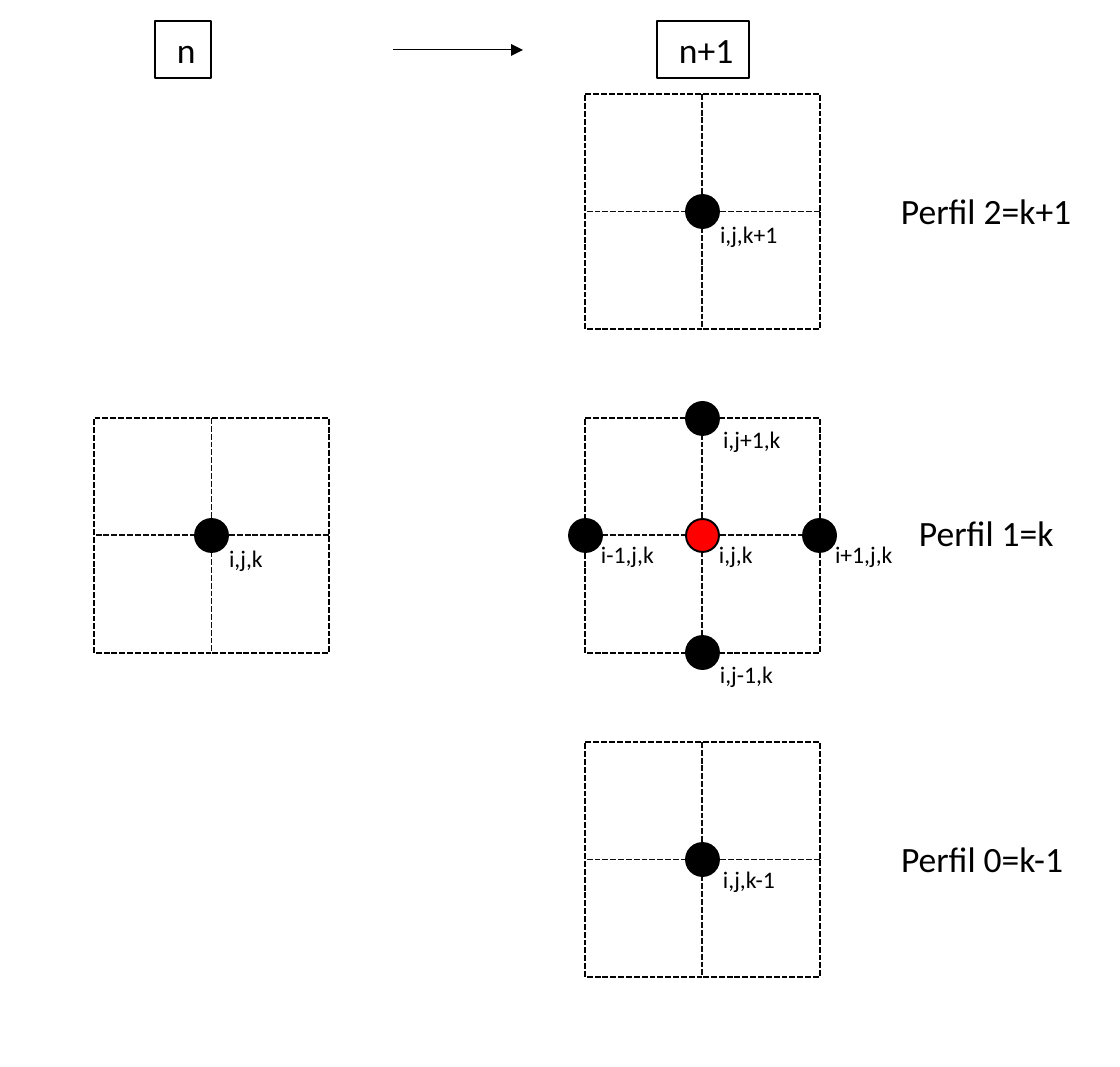
"""Finite-difference stencil: grid nodes at time steps n and n+1 on three profiles."""
from lxml import etree
from pptx import Presentation
from pptx.dml.color import RGBColor
from pptx.enum.dml import MSO_LINE
from pptx.enum.shapes import MSO_CONNECTOR, MSO_SHAPE
from pptx.enum.text import MSO_AUTO_SIZE, PP_ALIGN
from pptx.oxml.ns import qn
from pptx.util import Pt

PX = 6426
COLORS = {"black": "000000", "axis": "0D0D0D", "red": "FF0000"}
RGB = {name: RGBColor.from_string(code) for name, code in COLORS.items()}
GRID, HALF, DOT = 235, 117, 33
COLS = {"n": 94, "n+1": 585}
ROWS = {"k+1": 94, "k": 418, "k-1": 742}

prs = Presentation()
prs.slide_width, prs.slide_height = 1120 * PX, 1067 * PX
s = prs.slides.add_slide(prs.slide_layouts[6])


def add_line(x1, y1, x2, y2, color, width):
    ln = s.shapes.add_connector(MSO_CONNECTOR.STRAIGHT, x1 * PX, y1 * PX, x2 * PX, y2 * PX)
    ln.line.color.rgb = RGB[color]
    ln.line.width = Pt(width)
    etree.SubElement(ln._element.spPr, qn("a:effectLst"))
    return ln


def add_label(text, x, y, w, h, size, indent=0):
    sp = s.shapes.add_textbox(x * PX, y * PX, w * PX, h * PX)
    tf = sp.text_frame
    tf.word_wrap = False
    tf.auto_size = MSO_AUTO_SIZE.SHAPE_TO_FIT_TEXT
    tf.margin_left = (14 + indent) * PX
    p = tf.paragraphs[0]
    p.text = text
    p.alignment = PP_ALIGN.LEFT
    p.font.name = "Calibri"
    p.font.size = Pt(size)
    p.font.color.rgb = RGB["black"]
    return sp


for col, row in [("n", "k"), ("n+1", "k"), ("n+1", "k+1"), ("n+1", "k-1")]:
    x, y = COLS[col], ROWS[row]
    sp = s.shapes.add_shape(MSO_SHAPE.RECTANGLE, x * PX, y * PX, GRID * PX, GRID * PX)
    sp.shadow.inherit = False
    sp.fill.background()
    sp.line.color.rgb = RGB["black"]
    sp.line.width = Pt(1)
    sp.line.dash_style = MSO_LINE.SQUARE_DOT
    for start, end in [(0, 2), (3, 1)]:
        axis = add_line(x, y, x + GRID, y + GRID, "axis", 1)
        axis.line.dash_style = MSO_LINE.SQUARE_DOT
        axis.begin_connect(sp, start)
        axis.end_connect(sp, end)

for text, x, w in [("n", 155, 56), ("n+1", 657, 92)]:
    sp = add_label(text, x, 21, w, 57, 18, indent=8)
    sp.line.color.rgb = RGB["black"]
    sp.line.width = Pt(0.75)

nodes = [
    ("n", "k", 0, 0, "black", "i,j,k", 215, 537, 63),
    ("n+1", "k", 0, 0, "red", "i,j,k", 705, 533, 63),
    ("n+1", "k", -1, 0, "black", "i-1,j,k", 587, 533, 82),
    ("n+1", "k", 0, -1, "black", "i,j+1,k", 709, 418, 87),
    ("n+1", "k", 1, 0, "black", "i+1,j,k", 821, 533, 87),
    ("n+1", "k", 0, 1, "black", "i,j-1,k", 706, 653, 82),
    ("n+1", "k-1", 0, 0, "black", "i,j,k-1", 709, 858, 82),
    ("n+1", "k+1", 0, 0, "black", "i,j,k+1", 706, 213, 87),
]
for col, row, di, dj, color, text, label_x, label_y, label_w in nodes:
    x = COLS[col] + HALF * (1 + di) - DOT // 2
    y = ROWS[row] + HALF * (1 + dj) - DOT // 2
    sp = s.shapes.add_shape(MSO_SHAPE.OVAL, x * PX, y * PX, DOT * PX, DOT * PX)
    sp.shadow.inherit = False
    sp.fill.solid()
    sp.fill.fore_color.rgb = RGB[color]
    sp.line.color.rgb = RGB["black"]
    sp.line.width = Pt(1)
    add_label(text, label_x, label_y, label_w, 43, 12)

for text, x, y, w in [("Perfil 2=k+1", 887, 182, 201),
                      ("Perfil 1=k", 905, 504, 165),
                      ("Perfil 0=k-1", 887, 830, 194)]:
    add_label(text, x, y, w, 57, 18)

step = add_line(393, 50, 523, 50, "black", 0.5)
etree.SubElement(step.line._get_or_add_ln(), qn("a:tailEnd"), type="triangle")

prs.save("out.pptx")
